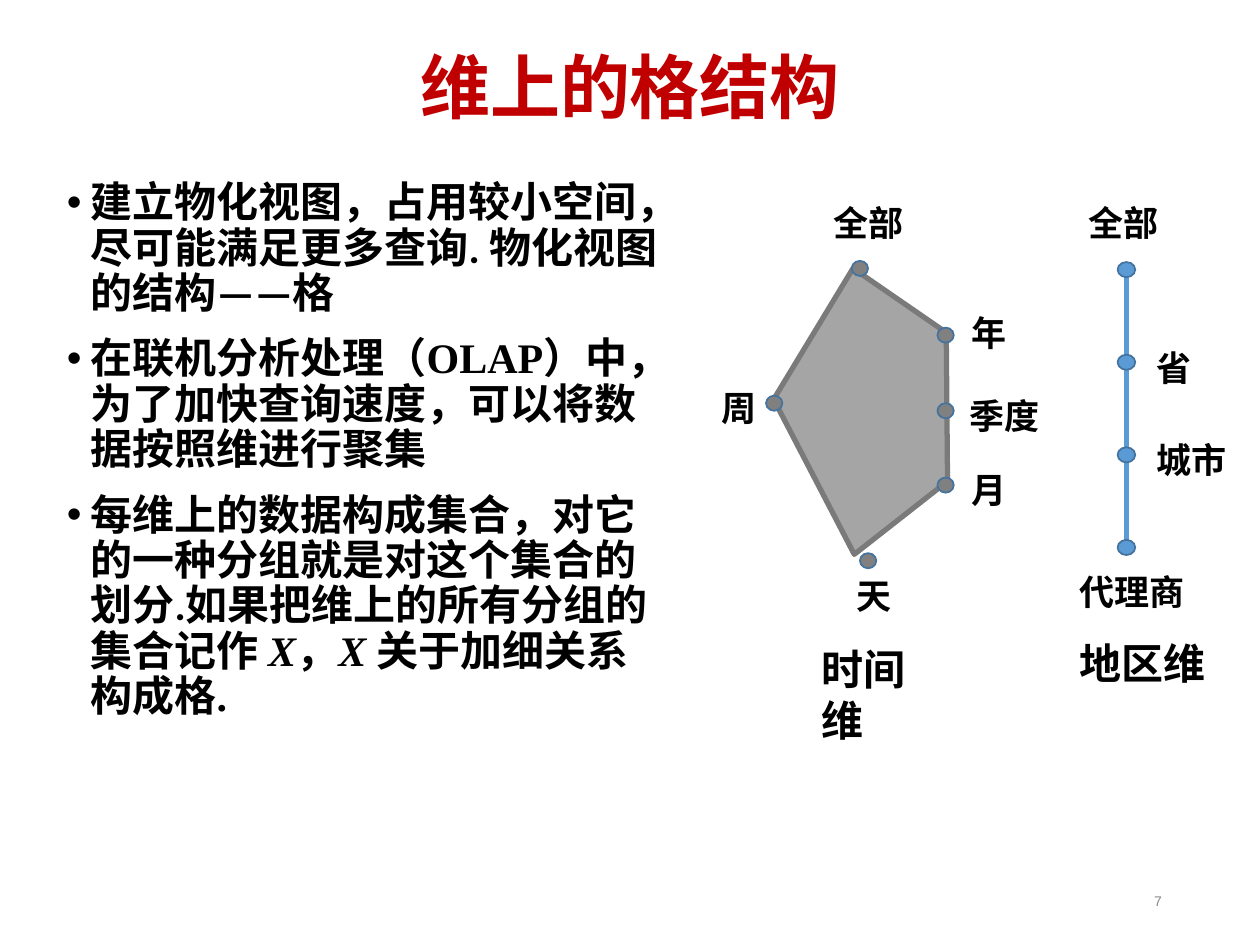
from typing import NamedTuple

from lxml.etree import SubElement
from pptx import Presentation
from pptx.dml.color import RGBColor
from pptx.enum.lang import MSO_LANGUAGE_ID as Lang
from pptx.enum.shapes import MSO_CONNECTOR as Connector, MSO_SHAPE as Shape
from pptx.enum.text import MSO_ANCHOR as Anchor, MSO_AUTO_SIZE as AutoSize, PP_ALIGN as Align
from pptx.oxml.ns import qn
from pptx.util import Emu, Inches, Pt

COLORS = {"title": "C00000", "text": "000000", "number": "898989",
          "area": "A5A5A5", "edge": "7A7A7A", "time": "808080",
          "region": "5B9BD5", "outline": "43739E"}
SERIF = "Times New Roman"

deck = Presentation()
deck.slide_width, deck.slide_height = Inches(10), Inches(7.5)
COLUMN, ROW = deck.slide_width / 100, deck.slide_height / 75


class Label(NamedTuple):
    """Text at a column and row of the 100 by 75 grid."""
    text: str
    left: float
    top: float
    width: float
    height: float = 4.4
    size: int = 20
    wrap: bool = False


class Node(NamedTuple):
    """Centre of a lattice point."""
    x: float
    y: float


def grid(x: float, y: float) -> tuple[Emu, Emu]:
    return Emu(round(x * COLUMN)), Emu(round(y * ROW))


def place(shape, left: float, top: float, width: float, height: float) -> None:
    shape.left, shape.top = grid(left, top)
    shape.width, shape.height = grid(width, height)


def rgb(name: str) -> RGBColor:
    return RGBColor.from_string(COLORS[name])


def add_text(paragraph, text: str, *, size: float, font: str = "Arial",
             color: str = "text", bold: bool = True, italic: bool = False) -> None:
    run = paragraph.add_run()
    run.text = text
    face = run.font
    face.name, face.size, face.bold, face.italic = font, Pt(size), bold, italic
    face.color.rgb = rgb(color)
    face.language_id = Lang.SIMPLIFIED_CHINESE
    SubElement(run._r.get_or_add_rPr(), qn("a:ea")).set("typeface", "Calibri")


def add_label(shapes, label: Label) -> None:
    box = shapes.add_textbox(*grid(label.left, label.top), *grid(label.width, label.height))
    box.text_frame.word_wrap = label.wrap
    add_text(box.text_frame.paragraphs[0], label.text, size=label.size)


def add_node(shapes, node: Node, color: str, width: float = 1.3, height: float = 1.2) -> None:
    dot = shapes.add_shape(Shape.OVAL, *grid(node.x - width / 2, node.y - height / 2),
                           *grid(width, height))
    dot.shadow.inherit = False
    dot.fill.solid()
    dot.fill.fore_color.rgb = rgb(color)
    dot.line.color.rgb = rgb("outline")
    dot.line.width = Pt(1)


def add_bullet(paragraph, runs: list[tuple[str, dict]], space_before: float) -> None:
    properties = paragraph._p.get_or_add_pPr()
    properties.set("marL", str(Inches(0.19)))
    properties.set("indent", str(-Inches(0.19)))
    SubElement(properties, qn("a:buChar")).set("char", "•")
    paragraph.line_spacing = 0.9
    paragraph.space_before = Pt(space_before)
    for text, style in runs:
        add_text(paragraph, text, **{"size": 24, "font": "Calibri", **style})


slide = deck.slides.add_slide(deck.slide_layouts[1])

# Title
title = slide.shapes.title
place(title, 5, 3, 90, 8.5)
title.text_frame.vertical_anchor = Anchor.MIDDLE
title.text_frame.auto_size = AutoSize.NONE
heading = title.text_frame.paragraphs[0]
heading.alignment, heading.line_spacing = Align.CENTER, 0.9
add_text(heading, "维上的格结构", size=40, font="Calibri", color="title")

# Bulleted explanation
BULLETS = [
    [("建立物化视图，占用较小空间，尽可能满足更多查询. 物化视图的结构", {}),
     ("——", {"font": "Noto Sans CJK SC"}), ("格", {})],
    [("在联机分析处理（", {}), ("OLAP", {"font": SERIF}),
     ("）中，为了加快查询速度，可以将数据按照维进行聚集", {})],
    [("每维上的数据构成集合，对它的一种分组就是对这个集合的划分.如果把维上的所有分组的集合记", {}),
     ("作 ", {"font": SERIF}), ("X", {"font": SERIF, "italic": True}),
     ("，", {"font": SERIF}), ("X ", {"font": SERIF, "italic": True}),
     ("关于加细关系构成格.", {"font": SERIF})],
]
explanation = slide.placeholders[1]
place(explanation, 4.3, 13.9, 48.9, 49.5)
frame = explanation.text_frame
frame.word_wrap, frame.auto_size = True, AutoSize.NONE
for index, runs in enumerate(BULLETS):
    bullet = frame.add_paragraph() if index else frame.paragraphs[0]
    add_bullet(bullet, runs, space_before=11.5 if index else 0)

# Slide number
number = slide.shapes.add_textbox(*grid(70.7, 69.5), *grid(22.5, 4)).text_frame
number.word_wrap, number.vertical_anchor = True, Anchor.MIDDLE
number.paragraphs[0].alignment = Align.RIGHT
add_text(number.paragraphs[0], "7", size=8, color="number", bold=False)

# Time dimension: lattice with two branches
TIME_CORNERS = [(67.7, 21.3), (61.4, 31.7), (67.8, 44), (75.2, 38.2), (75.1, 26.4)]
TIME_NODES = [Node(68.25, 21.3), Node(75.05, 26.6), Node(61.45, 32),
              Node(75.05, 32.6), Node(75.05, 38.5), Node(68.9, 44.5)]
TIME_LABELS = [Label("全部", 65.2, 15.5, 7.7), Label("年", 76.1, 24.2, 4.8),
               Label("季度", 76, 30.8, 7.7), Label("月", 76.1, 36.7, 4.8),
               Label("周", 56.3, 30.2, 4.8), Label("天", 67, 45.1, 4.8),
               Label("时间维", 64.2, 50.6, 11.8, 5.1, 24, wrap=True)]
time = slide.shapes.add_group_shape().shapes
corners = [grid(*corner) for corner in TIME_CORNERS]
outline = time.build_freeform(*corners[0])
outline.add_line_segments(corners[1:], close=True)
lattice = outline.convert_to_shape()
lattice.shadow.inherit = False
lattice.fill.solid()
lattice.fill.fore_color.rgb = rgb("area")
lattice.line.color.rgb = rgb("edge")
lattice.line.width = Pt(3)
for node in TIME_NODES:
    add_node(time, node, "time")
for label in TIME_LABELS:
    add_label(time, label)

# Region dimension: a single chain
REGION_X = 89.4
REGION_NODES = [Node(REGION_X, 21.4 + 7.35 * level) for level in range(4)]
REGION_LABELS = [Label("全部", 85.4, 15.5, 7.7), Label("省", 90.8, 27, 4.8),
                 Label("城市", 90.8, 34.3, 7.7), Label("代理商", 84.7, 44.8, 10.5),
                 Label("地区维", 84.7, 50.1, 12.2, 5.1, 24)]
region = slide.shapes.add_group_shape().shapes
chain = region.add_connector(Connector.STRAIGHT, *grid(REGION_X, 22), *grid(REGION_X, 44))
chain.line.color.rgb = rgb("region")
chain.line.width = Pt(3)
SubElement(chain._element.spPr, qn("a:effectLst"))
for node in REGION_NODES:
    add_node(region, node, "region", width=1.4)
for label in REGION_LABELS:
    add_label(region, label)

deck.save("out.pptx")
